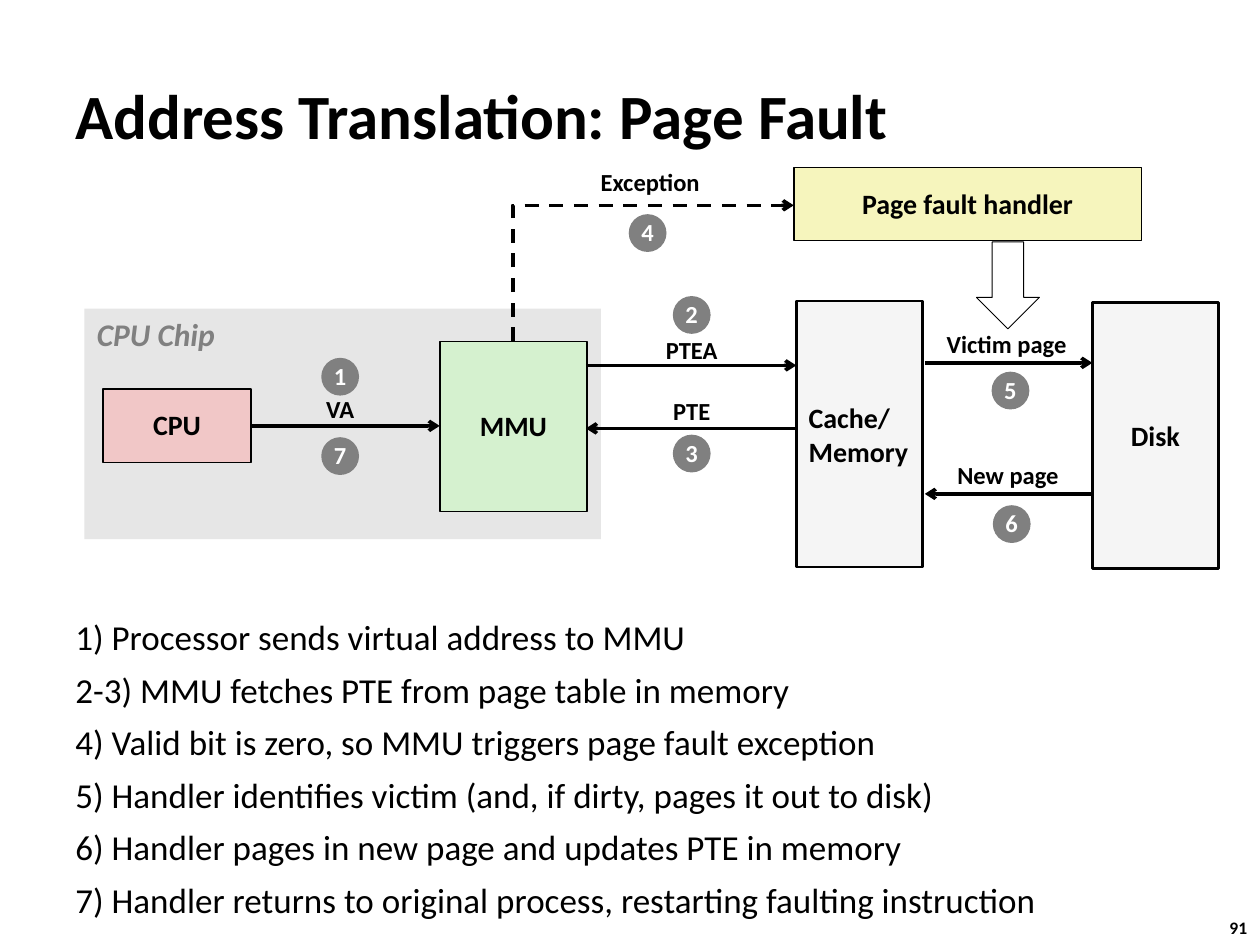
from lxml.etree import SubElement
from pptx import Presentation
from pptx.dml.color import RGBColor
from pptx.enum.dml import MSO_LINE
from pptx.enum.shapes import MSO_CONNECTOR, MSO_SHAPE
from pptx.enum.text import MSO_ANCHOR, PP_ALIGN
from pptx.oxml.ns import qn
from pptx.util import Inches, Pt

STEPS = [
    "1) Processor sends virtual address to MMU",
    "2-3) MMU fetches PTE from page table in memory",
    "4) Valid bit is zero, so MMU triggers page fault exception",
    "5) Handler identifies victim (and, if dirty, pages it out to disk)",
    "6) Handler pages in new page and updates PTE in memory",
    "7) Handler returns to original process, restarting faulting instruction",
]
BLACK, GRAY, WHITE = "000000", "808080", "FFFFFF"


def color(hex_code):
    return RGBColor.from_string(hex_code)


def write(frame, text, size=14, ink=BLACK, bold=True, italic=False,
          align=PP_ALIGN.CENTER, anchor=MSO_ANCHOR.MIDDLE, wrap=False,
          spacing=None, gap=0, hanging=0):
    frame.word_wrap = wrap
    frame.vertical_anchor = anchor
    for index, line in enumerate(text.split("\n")):
        paragraph = frame.paragraphs[0] if index == 0 else frame.add_paragraph()
        paragraph.alignment = align
        if spacing:
            paragraph.line_spacing = spacing
        if gap and index:
            paragraph.space_before = Pt(gap)
        if hanging:
            properties = paragraph._p.get_or_add_pPr()
            properties.set("marL", str(Inches(hanging)))
            properties.set("indent", str(-Inches(hanging)))
        run = paragraph.add_run()
        run.text = line
        font = run.font
        font.name, font.size = "Calibri", Pt(size)
        font.bold, font.italic = bold, italic
        font.color.rgb = color(ink)


class Diagram:
    def __init__(self, slide):
        self.shapes = slide.shapes

    def text(self, left, top, width, height, text, **style):
        area = self.shapes.add_textbox(
            Inches(left), Inches(top), Inches(width), Inches(height))
        write(area.text_frame, text, **style)

    def box(self, left, top, width, height, text="", fill=None, border=1,
            kind=MSO_SHAPE.RECTANGLE, **style):
        shape = self.shapes.add_shape(
            kind, Inches(left), Inches(top), Inches(width), Inches(height))
        shape.shadow.inherit = False
        if fill:
            shape.fill.solid()
            shape.fill.fore_color.rgb = color(fill)
        else:
            shape.fill.background()
        if border:
            shape.line.color.rgb = color(BLACK)
            shape.line.width = Pt(border)
        else:
            shape.line.fill.background()
        if text:
            write(shape.text_frame, text, **style)

    def badge(self, number, left, top):
        self.box(left, top, 0.3, 0.3, str(number), fill=GRAY, border=0,
                 kind=MSO_SHAPE.OVAL, ink=WHITE, spacing=0.98)

    def label(self, center, top, width, text):
        self.text(center - width / 2, top, width, 0.33, text, spacing=0.98)

    def arrow(self, start_x, start_y, end_x, end_y, kind=MSO_CONNECTOR.STRAIGHT):
        connector = self.shapes.add_connector(
            kind, Inches(start_x), Inches(start_y), Inches(end_x), Inches(end_y))
        connector.line.color.rgb = color(BLACK)
        connector.line.width = Pt(2)
        properties = connector._element.spPr
        SubElement(connector.line._get_or_add_ln(), qn("a:tailEnd"), type="arrow")
        SubElement(properties, qn("a:effectLst"))
        return connector

    def corner_arrow(self, start_x, start_y, end_x, end_y):
        center_x, center_y = (start_x + end_x) / 2, (start_y + end_y) / 2
        half_width, half_height = abs(end_y - start_y) / 2, abs(end_x - start_x) / 2
        connector = self.arrow(
            center_x + half_width, center_y + half_height,
            center_x - half_width, center_y - half_height, MSO_CONNECTOR.ELBOW)
        connector.line.dash_style = MSO_LINE.DASH
        properties = connector._element.spPr
        properties.find(qn("a:xfrm")).set("rot", "5400000")
        properties.find(qn("a:prstGeom")).set("prst", "bentConnector2")


def main():
    presentation = Presentation()
    presentation.slide_width, presentation.slide_height = Inches(10), Inches(7.5)
    diagram = Diagram(presentation.slides.add_slide(presentation.slide_layouts[6]))

    diagram.text(9.66, 7.23, 0.37, 0.27, "91", size=10,
                 align=PP_ALIGN.LEFT, anchor=MSO_ANCHOR.TOP)
    diagram.box(0.67, 2.45, 4.1, 1.83, fill="E6E6E6", border=0)
    diagram.text(0.5, 0.48, 9.53, 0.86, "Address Translation: Page Fault",
                 size=36, align=PP_ALIGN.LEFT, wrap=True, hanging=0.13)
    diagram.text(0.5, 4.92, 8.75, 2.25, "\n".join(STEPS), size=20, bold=False,
                 align=PP_ALIGN.LEFT, anchor=MSO_ANCHOR.TOP, wrap=True,
                 spacing=0.73, gap=12.5, hanging=0.38)
    diagram.text(0.67, 2.45, 1.16, 0.4, "CPU Chip", size=18, ink=GRAY,
                 italic=True, align=PP_ALIGN.LEFT, anchor=MSO_ANCHOR.TOP)

    diagram.box(3.49, 2.71, 1.17, 1.35, "MMU", fill="D5F1CF", size=16, spacing=0.98)
    diagram.box(0.82, 3.09, 1.17, 0.58, "CPU", fill="F1C7C7", size=16, spacing=0.98)
    diagram.box(6.3, 1.33, 2.76, 0.58, "Page fault handler", fill="F6F5BD",
                size=16, spacing=0.98)
    diagram.box(6.32, 2.39, 1, 2.11, "Cache/\nMemory", fill="F5F5F5", border=1.5,
                size=16, align=PP_ALIGN.LEFT)
    diagram.box(8.67, 2.4, 1, 2.11, "Disk", fill="F5F5F5", border=1.5, size=16)

    for start_x, end_x, y in [(1.99, 3.49, 3.38), (4.65, 6.32, 2.9), (6.32, 4.65, 3.4),
                              (7.34, 8.67, 2.88), (8.67, 7.34, 3.92)]:
        diagram.arrow(start_x, y, end_x, y)
    diagram.corner_arrow(4.07, 2.71, 6.3, 1.63)
    diagram.box(7.75, 1.92, 0.5, 0.69, border=0.5, kind=MSO_SHAPE.DOWN_ARROW)

    for center, top, width, text in [
            (2.7, 3.09, 0.42, "VA"), (5.49, 2.62, 0.61, "PTEA"), (5.49, 3.1, 0.5, "PTE"),
            (7.99, 2.57, 1.16, "Victim page"), (8, 3.61, 1.01, "New page"),
            (5.16, 1.29, 0.99, "Exception")]:
        diagram.label(center, top, width, text)

    badges = [(2.55, 2.84), (5.34, 2.35), (5.34, 3.45), (4.99, 1.7),
              (7.87, 2.95), (7.88, 4.01), (2.55, 3.47)]
    for number, (left, top) in enumerate(badges, start=1):
        diagram.badge(number, left, top)

    presentation.save("out.pptx")


if __name__ == "__main__":
    main()
